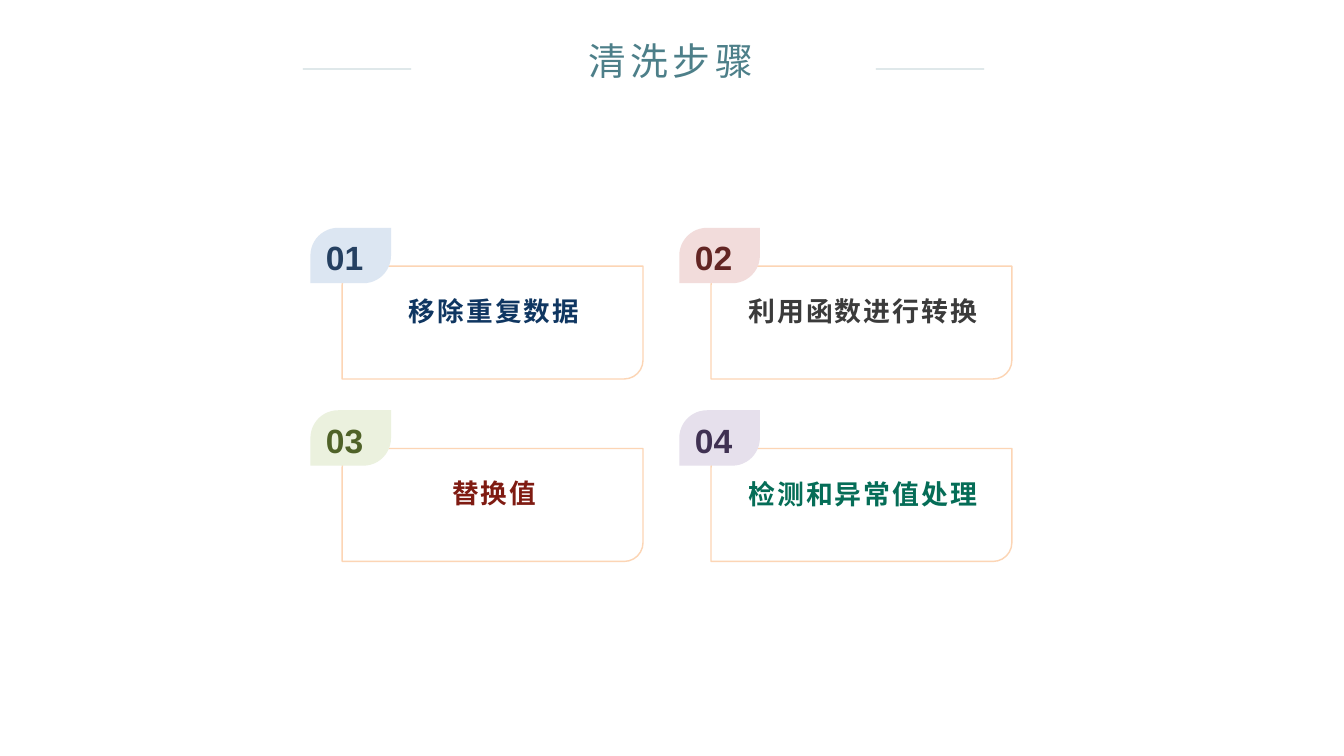
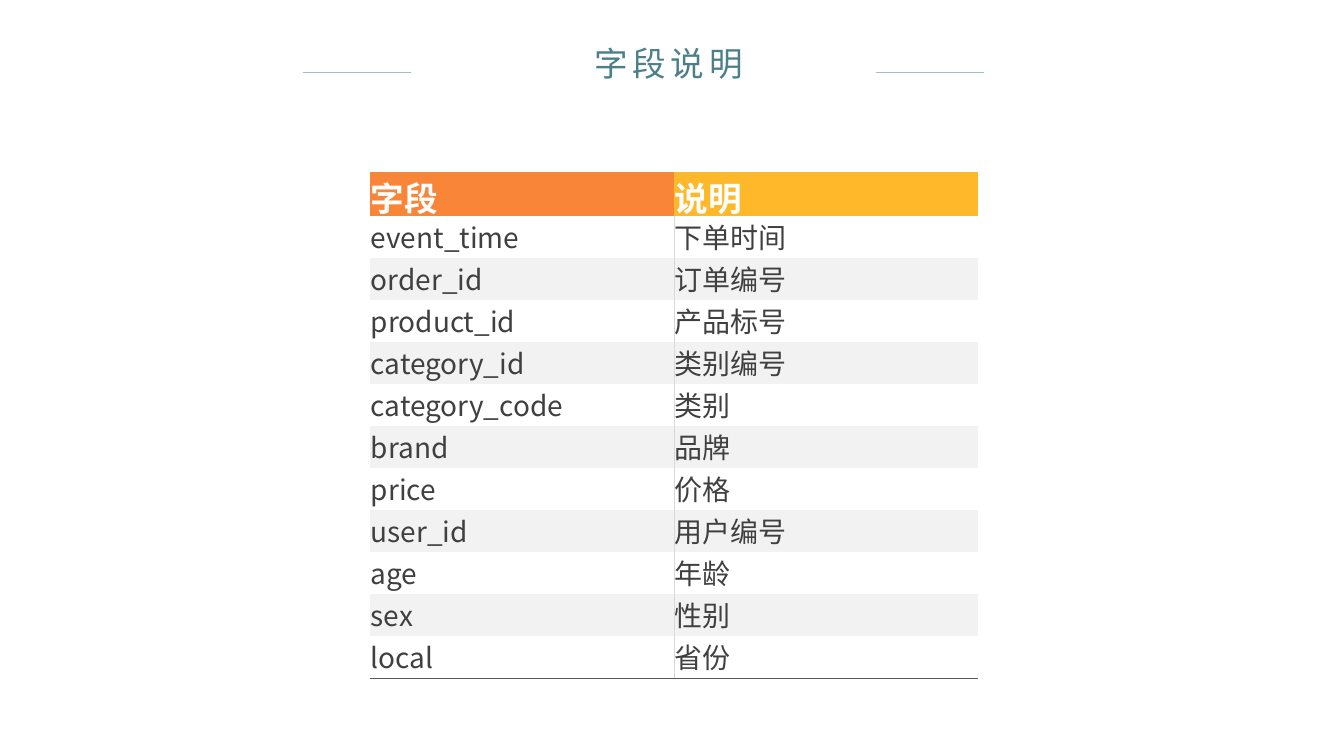
from lxml import etree
from pptx import Presentation
from pptx.dml.color import RGBColor
from pptx.enum.shapes import MSO_CONNECTOR, MSO_SHAPE
from pptx.enum.text import MSO_ANCHOR, PP_ALIGN
from pptx.oxml.ns import qn
from pptx.util import Inches, Pt

STRAIGHT = MSO_CONNECTOR.STRAIGHT
LEAF = MSO_SHAPE.ROUND_2_DIAG_RECTANGLE
TOP, MIDDLE = MSO_ANCHOR.TOP, MSO_ANCHOR.MIDDLE
LEFT, CENTER = PP_ALIGN.LEFT, PP_ALIGN.CENTER

LATIN, HAN = "Arial", "Noto Sans CJK SC"
TEAL, WHITE, PEACH = "4D7F89", "FFFFFF", "FCD5B5"
STRIPE, INK, GRID, RULE = "F2F2F2", "404040", "D9D9D9", "595959"
PLAIN_TABLE = "{2D5ABB26-0587-4C30-8999-92F81FD0307C}"

# number, badge fill, number colour, label, label colour, label size
STEPS = [
    ("01", "DCE6F2", "254061", "移除重复数据", "0F3661", 38),
    ("02", "F2DCDB", "632523", "利用函数进行转换", "3B3B3B", 38.4),
    ("03", "EBF1DE", "4F6228", "替换值", "7F1B12", 38),
    ("04", "E6E0EC", "403152", "检测和异常值处理", "056D57", 38.4),
]
HEADERS = [("字段", "F98638"), ("说明", "FFB829")]
FIELDS = [
    ("event_time", "下单时间"),
    ("order_id", "订单编号"),
    ("product_id", "产品标号"),
    ("category_id", "类别编号"),
    ("category_code", "类别"),
    ("brand", "品牌"),
    ("price", "价格"),
    ("user_id", "用户编号"),
    ("age", "年龄"),
    ("sex", "性别"),
    ("local", "省份"),
]


def color(value):
    return RGBColor.from_string(value)


def paint(target, value):
    target.fill.solid()
    target.fill.fore_color.rgb = color(value)


def add_span(para, text, size, shade, font=HAN, bold=False, spacing=0):
    """Add one run; spacing is the gap between letters in points."""
    span = para.add_run()
    span.text = text
    span.font.name = font
    span.font.size = Pt(size)
    span.font.bold = bold
    span.font.color.rgb = color(shade)
    props = span.font._element
    if spacing:
        props.set("spc", str(round(spacing * 100)))
    east_asian = etree.Element(qn("a:ea"), typeface=HAN)
    props.find(qn("a:latin")).addnext(east_asian)


def add_text(shapes, box, text, size, shade, align=LEFT, anchor=TOP,
             line_spacing=None, **style):
    frame = shapes.add_textbox(*map(Inches, box)).text_frame
    frame.word_wrap = True
    frame.vertical_anchor = anchor
    para = frame.paragraphs[0]
    para.alignment = align
    if line_spacing:
        para.line_spacing = line_spacing
    add_span(para, text, size, shade, **style)


def add_leaf(shapes, box, rounding, fill, line=None):
    leaf = shapes.add_shape(LEAF, *map(Inches, box))
    leaf.shadow.inherit = False
    leaf.adjustments[0] = rounding
    leaf.adjustments[1] = 0
    paint(leaf, fill)
    if line:
        leaf.line.color.rgb = color(line)
        leaf.line.width = Pt(2)
    else:
        leaf.line.fill.background()


def add_title(page, text, size, box, rule_top):
    """Place the title between two half-transparent rules."""
    shapes = page.shapes.add_group_shape().shapes
    for left in (6.01, 17.38):
        rule = shapes.add_connector(
            STRAIGHT, Inches(left), Inches(rule_top),
            Inches(left + 2.15), Inches(rule_top))
        rule.line.color.rgb = color(TEAL)
        rule.line.width = Pt(1)
        shade = rule.line._ln.find(".//" + qn("a:srgbClr"))
        etree.SubElement(shade, qn("a:alpha"), val="50000")
        etree.SubElement(rule._element.spPr, qn("a:effectLst"))
    add_text(shapes, box, text, size, TEAL, CENTER,
             line_spacing=0.9, spacing=6.6)


def add_step(page, left, top, step):
    number, badge_fill, number_color, label, label_color, label_size = step
    shapes = page.shapes
    add_leaf(shapes, (left + 0.63, top + 0.76, 5.97, 2.24), 0.167, WHITE, PEACH)
    add_leaf(shapes, (left, top, 1.6, 1.1), 0.5, badge_fill)
    add_text(shapes, (left + 0.21, top + 0.09, 1.39, 1), number, 48,
             number_color, anchor=MIDDLE, font=LATIN, bold=True)
    add_text(shapes, (left + 1.13, top + 1.09, 5.03, 1.58), label, label_size,
             label_color, CENTER, line_spacing=1.3, bold=True, spacing=3)


def add_border(cell, side, shade, width):
    """Draw one side of a cell; call in the order L, R, T, B before filling."""
    line = etree.SubElement(cell._tc.get_or_add_tcPr(), qn("a:ln" + side),
                            w=str(Pt(width)))
    fill = etree.SubElement(line, qn("a:solidFill"))
    etree.SubElement(fill, qn("a:srgbClr"), val=shade)


def fill_cell(cell, text, fill, size, shade, **style):
    paint(cell, fill)
    cell.vertical_anchor = MIDDLE
    cell.margin_left = cell.margin_right = cell.margin_top = Inches(0.01)
    cell.margin_bottom = Inches(0.05)
    add_span(cell.text_frame.paragraphs[0], text, size, shade, **style)


def add_field_table(page, left, top, width, height):
    row_count = len(FIELDS) + 1
    table = page.shapes.add_table(
        row_count, len(HEADERS), *map(Inches, (left, top, width, height))).table
    table.first_row = table.horz_banding = False
    table._tbl.tblPr.find(qn("a:tableStyleId")).text = PLAIN_TABLE
    for row in table.rows:
        row.height = Inches(height / row_count)

    for column, (text, fill) in enumerate(HEADERS):
        fill_cell(table.cell(0, column), text, fill, 48, WHITE,
                  font=LATIN, bold=True)
    for row, field in enumerate(FIELDS, start=1):
        for column, text in enumerate(field):
            cell = table.cell(row, column)
            add_border(cell, "RL"[column], GRID, 1)
            if row == len(FIELDS):
                add_border(cell, "B", RULE, 1.5)
            fill_cell(cell, text, WHITE if row % 2 else STRIPE, 40, INK,
                      font=(HAN, LATIN)[column])


def build_steps_slide(page):
    add_title(page, "清洗步骤", 54, (8.77, 0.81, 9.08, 1.01), 1.37)
    for index, step in enumerate(STEPS):
        row, column = divmod(index, 2)
        add_step(page, 6.16 + column * 7.32, 4.52 + row * 3.62, step)


def build_fields_slide(page):
    add_title(page, "字段说明", 48, (8.73, 0.89, 9.08, 1.72), 1.44)
    add_field_table(page, 7.35, 3.42, 12.05, 10.01)


def main():
    deck = Presentation()
    deck.slide_width, deck.slide_height = Inches(26.67), Inches(15)
    blank = deck.slide_layouts[6]
    for build in (build_steps_slide, build_fields_slide):
        build(deck.slides.add_slide(blank))
    deck.save("out.pptx")


if __name__ == "__main__":
    main()
